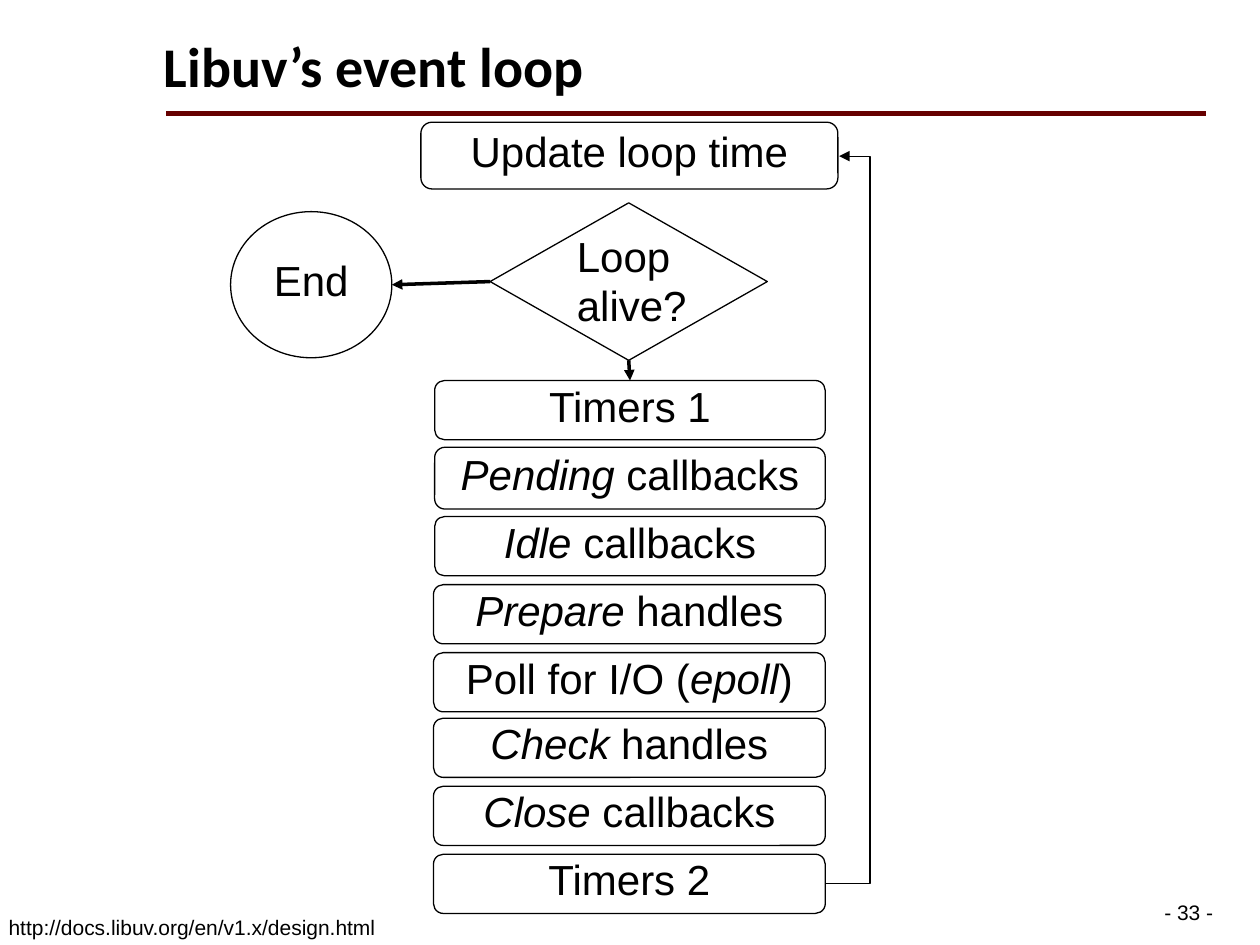
from dataclasses import dataclass

from lxml.etree import SubElement
from pptx import Presentation
from pptx.dml.color import RGBColor
from pptx.enum.shapes import MSO_CONNECTOR as Link, MSO_SHAPE as Shape
from pptx.enum.text import MSO_ANCHOR as Anchor, MSO_AUTO_SIZE as Fit, PP_ALIGN as Align
from pptx.oxml.ns import qn
from pptx.util import Inches, Pt

BLACK = RGBColor(0x00, 0x00, 0x00)
MAROON = RGBColor(0x66, 0x00, 0x00)
TOP, LEFT, BOTTOM = 0, 1, 2


@dataclass
class Step:
    """One phase of the loop; text between asterisks is italic."""
    text: str
    top: float
    left: float = 3.44
    width: float = 3.11
    height: float = 0.47


STEPS = [
    Step("Timers 1", 3.02, 3.45, 3.1),
    Step("*Pending* callbacks", 3.55, 3.45, 3.1, 0.49),
    Step("*Idle* callbacks", 4.1, 3.45, 3.1),
    Step("*Prepare* handles", 4.64),
    Step("Poll for I/O (*epoll*)", 5.18),
    Step("*Check* handles", 5.7),
    Step("*Close* callbacks", 6.24),
    Step("Timers 2", 6.78),
]


def write(frame, text: str, size: float = 24, font: str = "Arial", bold: bool = False,
          align=Align.LEFT, anchor=Anchor.TOP, line_spacing: float = 0.8,
          space_before: float = 0.2, hanging: float = 0) -> None:
    """Fill a text frame, one paragraph per line of text."""
    frame.vertical_anchor = anchor
    for index, line in enumerate(text.split("\n")):
        para = frame.paragraphs[0] if index == 0 else frame.add_paragraph()
        para.alignment = align
        para.line_spacing = line_spacing
        para.space_before = Pt(size * space_before)
        if hanging:
            properties = para._p.get_or_add_pPr()
            properties.set("marL", str(Inches(hanging)))
            properties.set("indent", str(Inches(-hanging)))
        for part, words in enumerate(line.split("*")):
            if not words:
                continue
            span = para.add_run()
            span.text = words
            span.font.name = font
            span.font.size = Pt(size)
            span.font.bold = bold
            span.font.italic = part % 2 == 1
            span.font.color.rgb = BLACK


def add_label(page, text: str, left: float, top: float, width: float, height: float,
              **text_format):
    box = page.shapes.add_textbox(Inches(left), Inches(top), Inches(width), Inches(height))
    box.text_frame.word_wrap = False
    box.text_frame.auto_size = Fit.SHAPE_TO_FIT_TEXT
    write(box.text_frame, text, **text_format)
    return box


def add_node(page, kind, left: float, top: float, width: float, height: float,
             text: str = ""):
    node = page.shapes.add_shape(kind, Inches(left), Inches(top), Inches(width), Inches(height))
    node.shadow.inherit = False
    node.fill.background()
    node.line.color.rgb = BLACK
    node.line.width = Pt(0.75)
    if text:
        write(node.text_frame, text, align=Align.CENTER, anchor=Anchor.MIDDLE, hanging=0.38)
    return node


def add_line(page, start: tuple[float, float], end: tuple[float, float], width: float,
             color: RGBColor = BLACK, kind=Link.STRAIGHT, arrow: bool = True):
    line = page.shapes.add_connector(kind, *map(Inches, start + end))
    line.line.color.rgb = color
    line.line.width = Pt(width)
    if arrow:
        SubElement(line.line._get_or_add_ln(), qn("a:tailEnd"), type="triangle")
    SubElement(line._element.spPr, qn("a:effectLst"))
    return line


def main() -> None:
    deck = Presentation()
    deck.slide_width, deck.slide_height = Inches(10), Inches(7.5)
    page = deck.slides.add_slide(deck.slide_layouts[5])

    # Title, rule and footers
    title = page.shapes.title
    title.left, title.top = Inches(1.2), Inches(0.14)
    title.width, title.height = Inches(8.8), Inches(0.7)
    title.text_frame.auto_size = Fit.NONE
    write(title.text_frame, "Libuv’s event loop", size=32, font="Calibri", bold=True,
          anchor=Anchor.BOTTOM, line_spacing=0.9, space_before=0)
    add_line(page, (1.32, 0.9), (9.57, 0.9), 3, MAROON, arrow=False)
    number = add_label(page, "- 33 -", 9.19, 7.12, 0.52, 0.24, size=12,
                       line_spacing=1, space_before=0).text_frame
    number.margin_left = number.margin_right = Inches(0.05)
    number.margin_top = number.margin_bottom = Inches(0.02)
    add_label(page, "http://docs.libuv.org/en/v1.x/design.html",
              -0.03, 7.25, 3.14, 0.26, size=12)

    # Start, decision and end
    add_node(page, Shape.ROUNDED_RECTANGLE, 3.34, 0.97, 3.31, 0.53, "Update loop time")
    decision = add_node(page, Shape.FLOWCHART_DECISION, 3.89, 1.61, 2.2, 1.25)
    add_label(page, "Loop\nalive?", 4.48, 1.86, 1.08, 1.24, hanging=0.38)
    add_node(page, Shape.OVAL, 1.83, 1.68, 1.28, 1.16, "End")

    # Phases of one iteration
    phases = [add_node(page, Shape.ROUNDED_RECTANGLE, step.left, step.top,
                       step.width, step.height, step.text) for step in STEPS]

    # Arrows out of the decision
    to_end = add_line(page, (3.89, 2.24), (3.11, 2.26), 2)
    to_end.begin_connect(decision, LEFT)
    to_phases = add_line(page, (4.99, 2.86), (5, 3.02), 2)
    to_phases.begin_connect(decision, BOTTOM)
    to_phases.end_connect(phases[0], TOP)

    # Return path, bending out to the right of both boxes
    back = add_line(page, (6.55, 7.01), (6.66, 1.24), 0.75, kind=Link.ELBOW)
    guides = back._element.spPr.find(qn("a:prstGeom")).get_or_add_avLst()
    SubElement(guides, qn("a:gd"), name="adj1", fmla="val 323900")

    deck.save("out.pptx")


if __name__ == "__main__":
    main()
